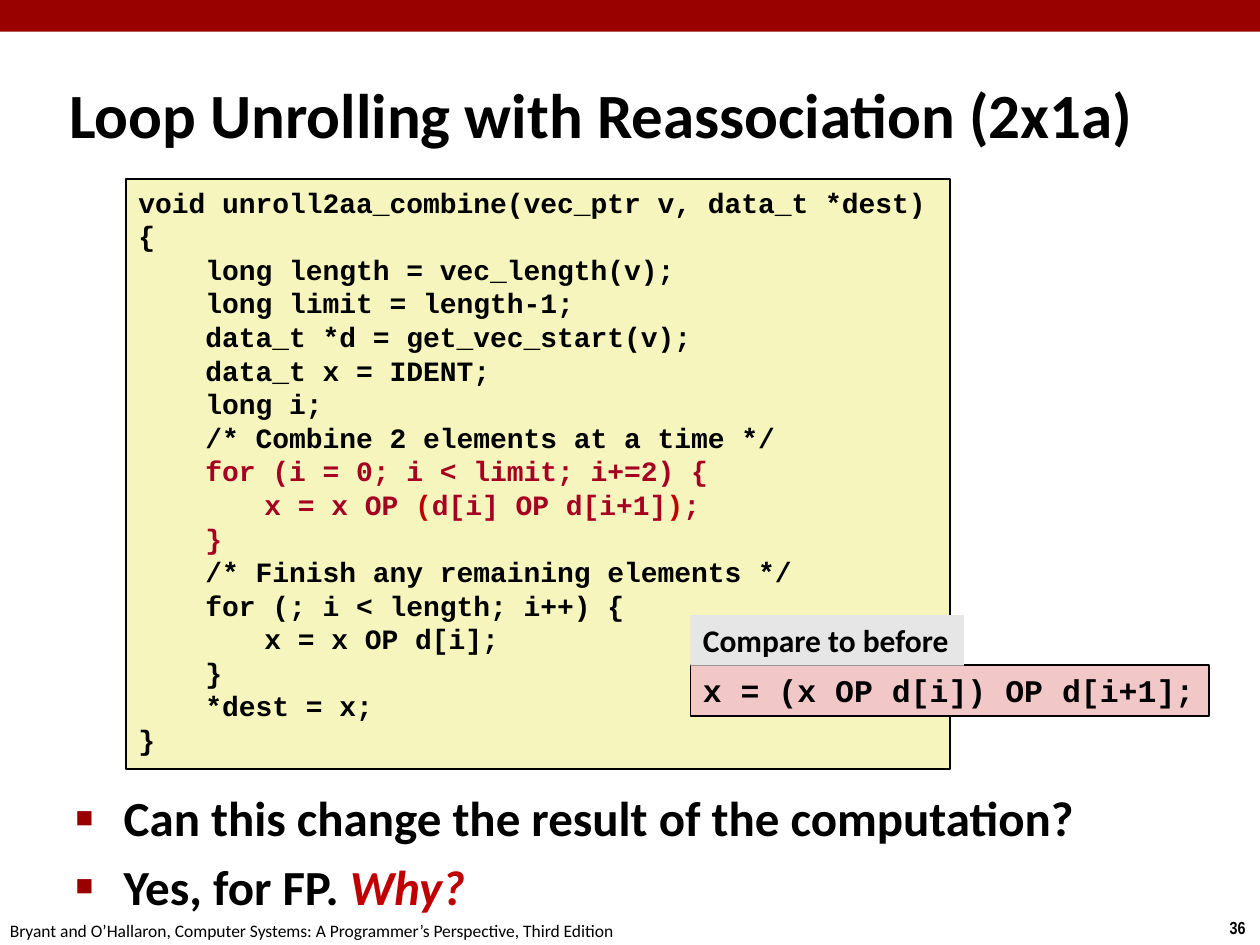
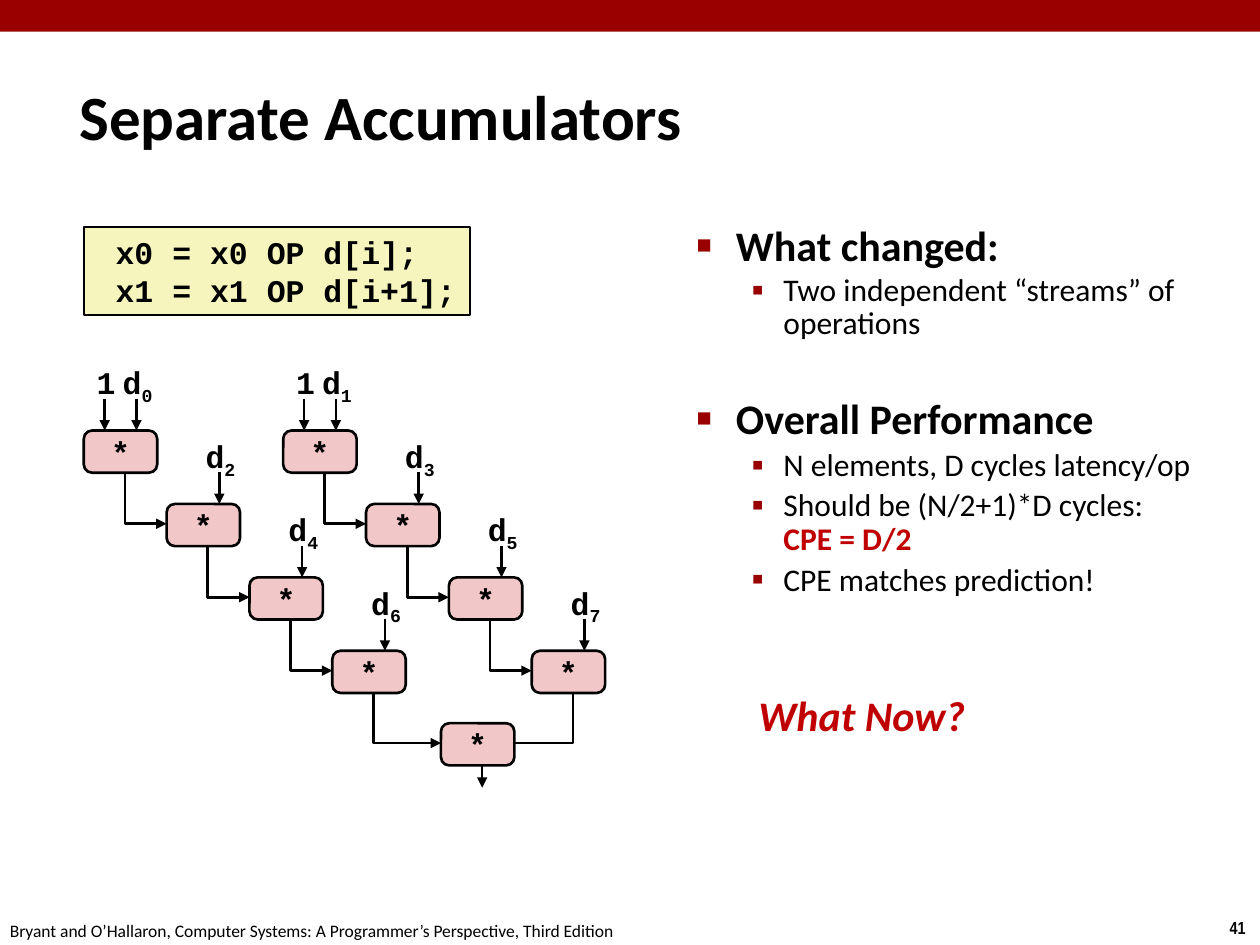
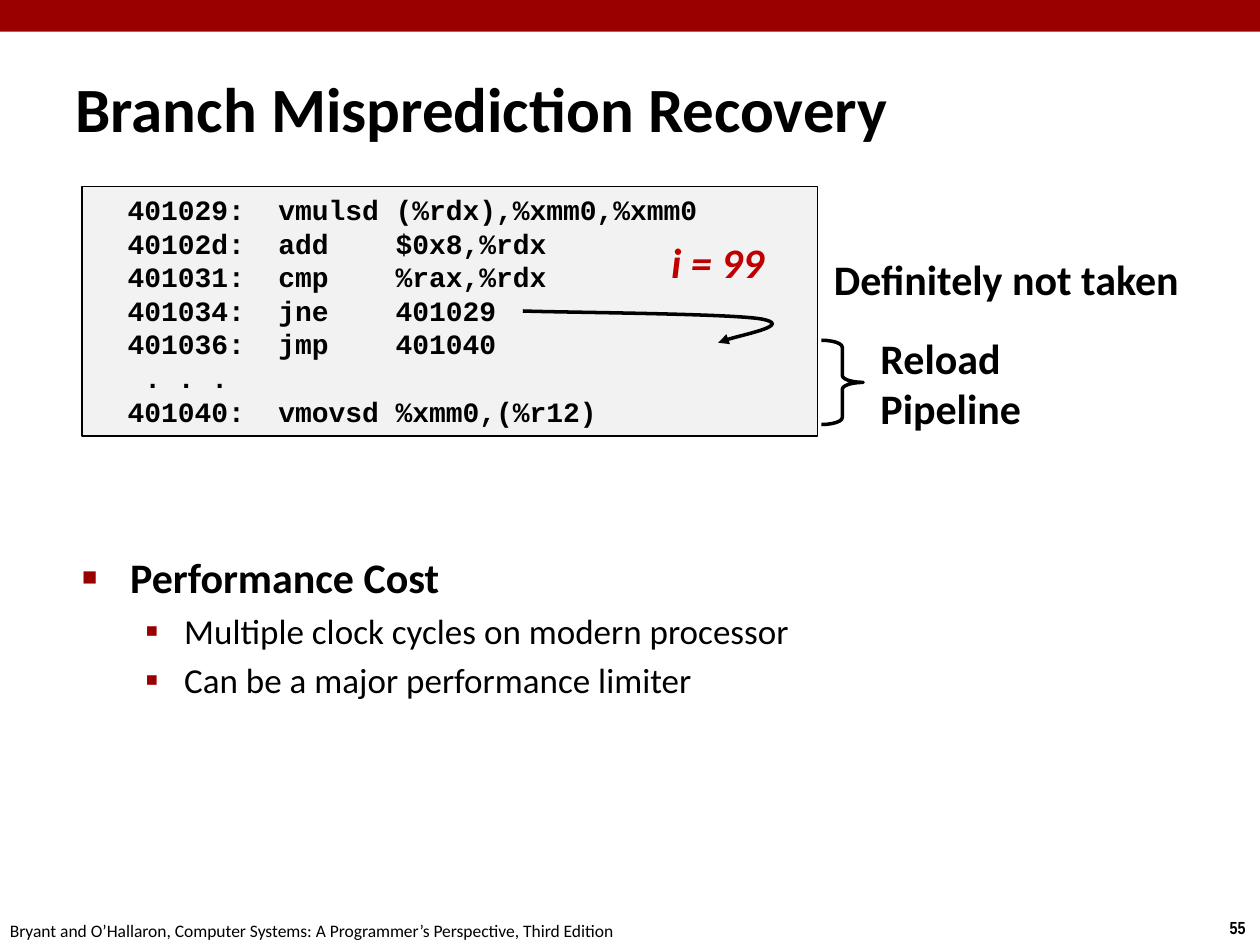
from lxml.etree import SubElement
from pptx import Presentation
from pptx.dml.color import RGBColor
from pptx.enum.shapes import MSO_CONNECTOR, MSO_SHAPE as Preset
from pptx.enum.text import MSO_ANCHOR as Anchor, MSO_AUTO_SIZE as AutoSize, PP_ALIGN as Align
from pptx.oxml.ns import qn
from pptx.util import Cm, Pt

BLACK = RGBColor(0x00, 0x00, 0x00)
CRIMSON = RGBColor(0x99, 0x00, 0x00)
ACCENT = RGBColor(0xC0, 0x00, 0x00)
CODE_RED = RGBColor(0xA5, 0x00, 0x21)
CREAM = RGBColor(0xF6, 0xF5, 0xBD)
PINK = RGBColor(0xF1, 0xC7, 0xC7)
SILVER = RGBColor(0xE6, 0xE6, 0xE6)
PALE = RGBColor(0xF2, 0xF2, 0xF2)

PLAIN = {"name": "Calibri", "size": Pt(18), "bold": False, "color": BLACK}
BOLD = {**PLAIN, "bold": True}
BOLD_24 = {**BOLD, "size": Pt(24)}
QUESTION = {**BOLD_24, "italic": True, "color": ACCENT}
TITLE = {**BOLD, "size": Pt(36)}
FOOTER = {**PLAIN, "size": Pt(10)}
NUMBER = {**FOOTER, "name": "Arial Narrow", "bold": True}
CODE_18 = {**BOLD, "name": "Courier New"}
CODE_16 = {**CODE_18, "size": Pt(16)}
HOT = {"color": CODE_RED}
HOTTER = {"color": ACCENT}
SUBSCRIPT = {"baseline": "-25000"}

COURSE = "Bryant and O’Hallaron, Computer Systems: A Programmer’s Perspective, Third Edition"
CODE_TABS = (2.54, 6.35)
LISTING_TABS = (1.91, 3.99, 10.01, 13)

UNROLLED = [
    "void unroll2aa_combine(vec_ptr v, data_t *dest)",
    "{",
    "    long length = vec_length(v);",
    "    long limit = length-1;",
    "    data_t *d = get_vec_start(v);",
    "    data_t x = IDENT;",
    "    long i;",
    "    /* Combine 2 elements at a time */",
    [("    for (i = 0; i < limit; i+=2) {", HOT)],
    [("\tx = x OP ", HOT), ("(", HOTTER), ("d[i] OP d[i+1]", HOT), (")", HOTTER), (";", HOT)],
    [("    }", HOT)],
    "    /* Finish any remaining elements */",
    "    for (; i < length; i++) {",
    "\tx = x OP d[i];",
    "    }",
    "    *dest = x;",
    "}",
]
ACCUMULATORS = [" x0 = x0 OP d[i];", " x1 = x1 OP d[i+1];"]
ASSEMBLY = [
    "  401029:  vmulsd (%rdx),%xmm0,%xmm0",
    "  40102d:  add    $0x8,%rdx",
    "  401031:  cmp    %rax,%rdx",
    "  401034:  jne    401029",
    "  401036:  jmp    401040",
    "   . . .",
    "  401040:  vmovsd %xmm0,(%r12)",
]

SQUARE = {"char": "■", "percent": 60}
SMALL_SQUARE = {"char": "▪", "percent": 110}
QUIZ = {**SQUARE, "font": {**BOLD, "size": Pt(28)}, "left": 0.97, "hang": 0.97, "before": 5.6}
COST = {**QUIZ, "font": BOLD_24, "before": 4.8}
COST_POINT = {**SMALL_SQUARE, "font": {**PLAIN, "size": Pt(20)}, "left": 2.06, "hang": 0.79, "before": 4}
TOPIC = {**COST, "left": 0.79, "hang": 0.79, "spacing": 0.85}
LATER_TOPIC = {**TOPIC, "before": 34}
POINT = {**SMALL_SQUARE, "font": PLAIN, "left": 1.75, "hang": 0.64, "before": 3.6, "spacing": 0.9}
TIGHT_POINT = {**POINT, "spacing": 0.85}

SLIDES = [
    {
        "number": "36",
        "title": "Loop Unrolling with Reassociation (2x1a)",
        "title_at": (1.14, 1.22, 22.35, 2.11),
        "body_at": (1.27, 15.75, 22.05, 1.6),
        "body": [
            (QUIZ, "Can this change the result of the computation?"),
            (QUIZ, ["Yes, for FP. ", ("Why?", {"color": ACCENT, "italic": True})]),
        ],
    },
    {
        "number": "41",
        "title": "Separate Accumulators",
        "title_at": (1.35, 1.27, 21.08, 2.11),
        "body_at": (13.79, 4.45, 10.97, 8.69),
        "body": [
            (TOPIC, "What changed:"),
            (TIGHT_POINT, "Two independent “streams” of operations"),
            (LATER_TOPIC, "Overall Performance"),
            (POINT, "N elements, D cycles latency/op"),
            (POINT, ["Should be (N/2+1)*D cycles:", "\n",
                     ("CPE = D/2", {"color": ACCENT, "bold": True})]),
            (POINT, "CPE matches prediction!"),
        ],
    },
    {
        "number": "55",
        "title": "Branch Misprediction Recovery",
        "title_at": (1.27, 1.37, 20.98, 1.6),
        "body_at": (1.4, 11, 22.25, 3.81),
        "body": [
            (COST, "Performance Cost"),
            (COST_POINT, "Multiple clock cycles on modern processor"),
            (COST_POINT, "Can be a major performance limiter"),
        ],
    },
]

CHAINS = [(1.69, "0246"), (5.71, "1357")]
NODE_W, NODE_H = 1.48, 0.85
FIRST_ROW, STEP_X, STEP_Y = 8.68, 1.67, 1.48
LEFT_IN, RIGHT_IN, INPUT_RISE = 0.42, 1.06, 0.64
ELBOW_OUT, ELBOW_IN = 0.83, 0.4
JOIN_X, JOIN_Y, RESULT_Y = 8.89, 14.58, 15.88

BRANCH = [(10.54, 6.27), (11.35, 6.3), (14.68, 6.32), (15.34, 6.43),
          (16, 6.55), (14.66, 6.81), (14.48, 6.91)]


def cm(values):
    """Turn numbers into centimetre lengths."""
    return [Cm(value) for value in values]


def write(paragraph, content, style):
    """Fill a paragraph with a string or a list of styled runs."""
    for piece in [content] if isinstance(content, str) else content:
        text, changes = (piece, {}) if isinstance(piece, str) else piece
        if text == "\n":
            paragraph.add_line_break()
            continue
        run = paragraph.add_run()
        run.text = text
        for key, value in {**style, **changes}.items():
            if key == "color":
                run.font.color.rgb = value
            elif key == "baseline":
                run.font._element.set(key, value)
            else:
                setattr(run.font, key, value)


def paragraphs_of(frame, count):
    """Give the first paragraph of a frame and as many more as needed."""
    return [frame.paragraphs[0]] + [frame.add_paragraph() for _ in range(count - 1)]


def set_tabs(paragraph, stops):
    """Put left tab stops on a paragraph."""
    tab_list = SubElement(paragraph._p.get_or_add_pPr(), qn("a:tabLst"))
    for stop in stops:
        SubElement(tab_list, qn("a:tab"), pos=str(Cm(stop)), algn="l")


def set_bullet(paragraph, level):
    """Put the bullet, indent and line spacing of a level on a paragraph."""
    properties = paragraph._p.get_or_add_pPr()
    properties.set("marL", str(Cm(level["left"])))
    properties.set("indent", str(-Cm(level["hang"])))
    color = SubElement(properties, qn("a:buClr"))
    SubElement(color, qn("a:srgbClr"), val=str(CRIMSON))
    SubElement(properties, qn("a:buSzPct"), val=str(level["percent"] * 1000))
    SubElement(properties, qn("a:buChar"), char=level["char"])
    paragraph.line_spacing = level.get("spacing", 1.0)


def outline(shape, width, arrow=False):
    """Draw a black line, with an arrowhead at its end if asked."""
    shape.line.color.rgb = BLACK
    shape.line.width = Pt(width)
    if arrow:
        SubElement(shape._element.spPr.find(qn("a:ln")), qn("a:tailEnd"), type="triangle")


def add_preset(slide, preset, at, fill=None, width=None, adjustments=()):
    """Add a flat preset shape."""
    shape = slide.shapes.add_shape(preset, *cm(at))
    shape.shadow.inherit = False
    for index, value in enumerate(adjustments):
        shape.adjustments[index] = value
    if fill is None:
        shape.fill.background()
    else:
        shape.fill.solid()
        shape.fill.fore_color.rgb = fill
    if width is None:
        shape.line.fill.background()
    else:
        outline(shape, width)
    return shape


def put_text(shape, lines, style, align=Align.LEFT, tabs=(), **layout):
    """Write lines into a shape."""
    frame = shape.text_frame
    settings = {"word_wrap": False, "auto_size": AutoSize.SHAPE_TO_FIT_TEXT,
                "vertical_anchor": Anchor.TOP, **layout}
    for key, value in settings.items():
        setattr(frame, key, value)
    for paragraph, line in zip(paragraphs_of(frame, len(lines)), lines):
        paragraph.alignment = align
        if tabs:
            set_tabs(paragraph, tabs)
        write(paragraph, line, style)


def add_label(slide, at, lines, style, **layout):
    """Add a text box."""
    put_text(slide.shapes.add_textbox(*cm(at)), lines, style, **layout)


def add_panel(slide, at, lines, style, fill, width=1, **layout):
    """Add a filled rectangle with text."""
    put_text(add_preset(slide, Preset.RECTANGLE, at, fill, width), lines, style, **layout)


def add_arrow(slide, x, top, bottom):
    """Add a straight arrow pointing down."""
    arrow = slide.shapes.add_connector(MSO_CONNECTOR.STRAIGHT, *cm((x, top, x, bottom)))
    outline(arrow, 1.5, arrow=True)
    SubElement(arrow._element.spPr, qn("a:effectLst"))


def add_route(slide, points, width, arrow=True):
    """Add an open line through points."""
    start, *others = [cm(point) for point in points]
    builder = slide.shapes.build_freeform(*start)
    builder.add_line_segments(others, close=False)
    route = builder.convert_to_shape()
    route.shadow.inherit = False
    route.fill.background()
    outline(route, width, arrow)
    return route


def bend(route):
    """Turn each three segments of a route into one Bézier curve."""
    outline_path = route._element.find(".//" + qn("a:path"))
    segments = outline_path.findall(qn("a:lnTo"))
    for first in range(0, len(segments), 3):
        curve = SubElement(outline_path, qn("a:cubicBezTo"))
        for segment in segments[first:first + 3]:
            curve.append(segment[0])
            outline_path.remove(segment)


def add_elbow(slide, node, target_x, target_y, arrow=True):
    """Lead from the bottom of a node to the side of another."""
    x, y = node[0] + ELBOW_OUT, node[1] + NODE_H
    corner_y = target_y + ELBOW_IN
    add_route(slide, [(x, y), (x, corner_y), (target_x, corner_y)], 1.5, arrow)


def add_node(slide, x, y):
    """Add one multiplication node."""
    node = add_preset(slide, Preset.ROUNDED_RECTANGLE, (x, y, NODE_W, NODE_H), PINK, 1.5, [0.196])
    put_text(node, ["*"], CODE_18, align=Align.CENTER,
             auto_size=AutoSize.NONE, vertical_anchor=Anchor.MIDDLE)


def add_operand(slide, x, y, width, content):
    """Add the name of an input above a node."""
    add_label(slide, (x, y - STEP_Y, width, 1.02), [content], CODE_18, align=Align.CENTER,
              margin_left=Cm(0.13), margin_right=Cm(0.13))


def add_chain(slide, left, indices):
    """Add one stream of nodes and return the place of its last node."""
    nodes = [(left + row * STEP_X, FIRST_ROW + row * STEP_Y) for row in range(len(indices))]
    add_operand(slide, left + 0.13, FIRST_ROW, 0.64, "1")
    add_arrow(slide, left + LEFT_IN, FIRST_ROW - INPUT_RISE, FIRST_ROW)
    for (x, y), index in zip(nodes, indices):
        add_node(slide, x, y)
        add_operand(slide, x + 0.64, y, 0.89, ["d", (index, SUBSCRIPT)])
        add_arrow(slide, x + RIGHT_IN, y - INPUT_RISE, y)
    for node, following in zip(nodes, nodes[1:]):
        add_elbow(slide, node, *following)
    return nodes[-1]


def place(placeholder, at):
    """Move a placeholder and return its text frame."""
    for key, value in zip(("left", "top", "width", "height"), cm(at)):
        setattr(placeholder, key, value)
    placeholder.text_frame.auto_size = AutoSize.NONE
    return placeholder.text_frame


def start_slide(deck, content):
    """Add a slide with band, footer, title and bullets."""
    slide = deck.slides.add_slide(deck.slide_layouts[1])
    add_preset(slide, Preset.RECTANGLE, (0, 0, 25.4, 0.64), CRIMSON)
    add_label(slide, (24.54, 18.36, 0.86, 0.69), [content["number"]], NUMBER)
    add_label(slide, (-0.05, 18.42, 12.9, 0.69), [COURSE], FOOTER)

    heading = place(slide.shapes.title, content["title_at"])
    heading.vertical_anchor = Anchor.MIDDLE
    heading.paragraphs[0].alignment = Align.LEFT
    write(heading.paragraphs[0], content["title"], TITLE)

    body = place(slide.placeholders[1], content["body_at"])
    bullets = content["body"]
    for position, paragraph in enumerate(paragraphs_of(body, len(bullets))):
        level, text = bullets[position]
        set_bullet(paragraph, level)
        paragraph.space_before = Pt(level["before"] if position else 0)
        write(paragraph, text, level["font"])
    return slide


def draw_reassociation(slide):
    """Show the unrolled loop and the earlier expression."""
    add_panel(slide, (2.54, 3.61, 16.61, 11.89), UNROLLED, CODE_16, CREAM, tabs=CODE_TABS)
    add_panel(slide, (13.92, 13.41, 10.46, 1.02), ["x = (x OP d[i]) OP d[i+1];"], CODE_18, PINK)
    add_panel(slide, (13.92, 12.4, 5.51, 1.02), ["Compare to before"], BOLD, SILVER, width=None)


def draw_accumulators(slide):
    """Show two streams that join in one product."""
    add_panel(slide, (1.7, 4.57, 7.77, 1.78), ACCUMULATORS, CODE_18, CREAM)
    even_end, odd_end = [add_chain(slide, left, indices) for left, indices in CHAINS]
    add_elbow(slide, even_end, JOIN_X, JOIN_Y)
    add_elbow(slide, odd_end, JOIN_X + NODE_W, JOIN_Y, arrow=False)
    add_node(slide, JOIN_X, JOIN_Y)
    add_arrow(slide, JOIN_X + ELBOW_OUT, JOIN_Y + NODE_H, RESULT_Y)
    add_label(slide, (15.04, 13.77, 4.72, 1.27), ["What Now?"], QUESTION)


def draw_recovery(slide):
    """Show the assembly listing and the branch that is not taken."""
    add_panel(slide, (1.65, 3.76, 14.83, 5.03), ASSEMBLY, CODE_16, PALE,
              tabs=LISTING_TABS, word_wrap=True)
    bend(add_route(slide, BRANCH, 2))
    add_label(slide, (13.28, 4.65, 2.39, 1.27), ["i = 99"], QUESTION)
    add_label(slide, (16.56, 4.98, 7.54, 1.27), ["Definitely not taken"], BOLD_24)
    add_preset(slide, Preset.RIGHT_BRACE, (16.56, 6.86, 0.84, 1.7), width=2, adjustments=[0.167, 0.5])
    add_label(slide, (17.5, 6.58, 3.38, 2.31), ["Reload", "Pipeline"], BOLD_24)


def main():
    """Build the three slides and save them."""
    deck = Presentation()
    deck.slide_width, deck.slide_height = Cm(25.4), Cm(19.05)
    for content, draw in zip(SLIDES, (draw_reassociation, draw_accumulators, draw_recovery)):
        draw(start_slide(deck, content))
    deck.save("out.pptx")


if __name__ == "__main__":
    main()
